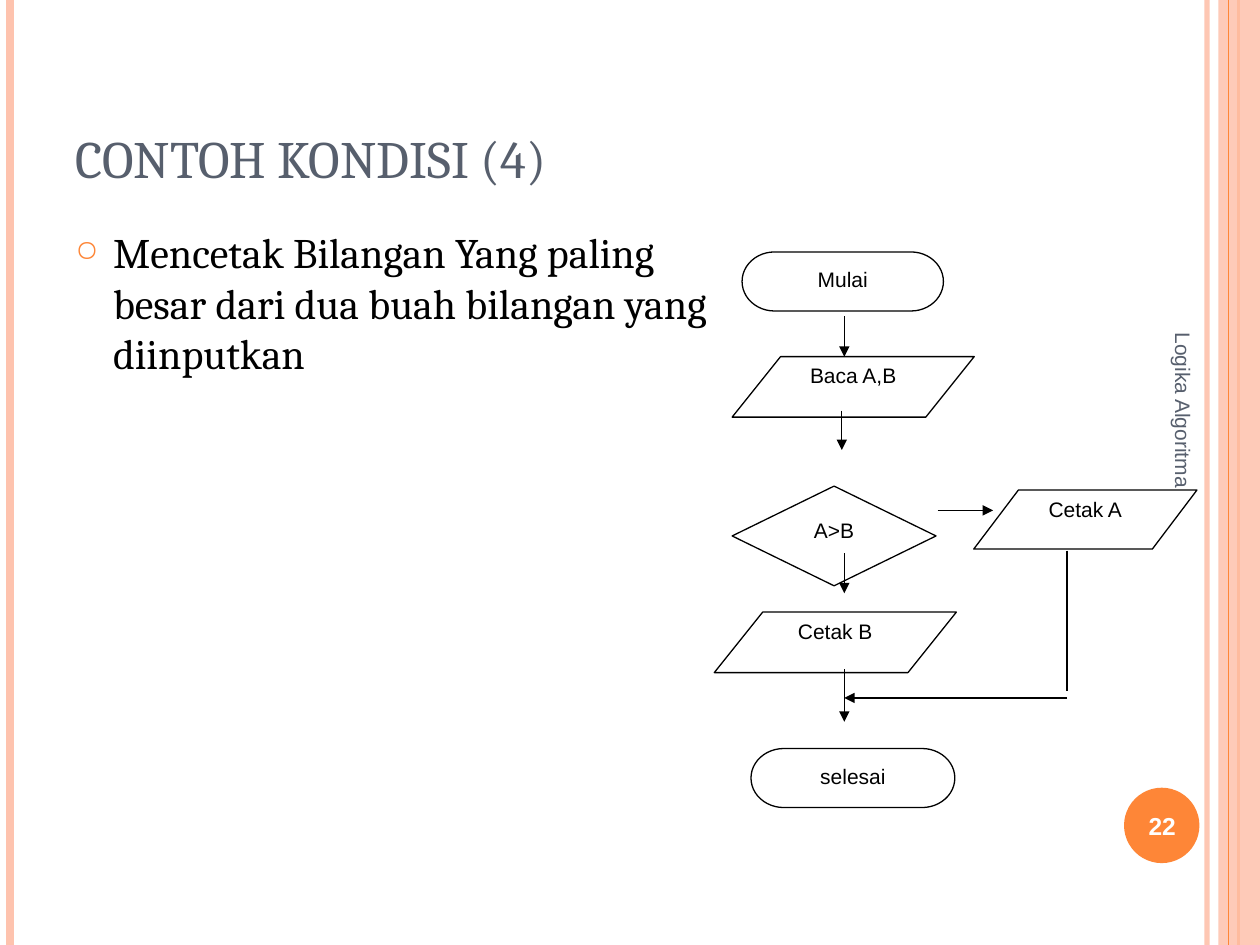
"""Build a slide with a flowchart that prints the larger of two numbers."""
from lxml import etree
from pptx import Presentation, util as u
from pptx.dml.color import RGBColor
from pptx.enum import shapes, text
from pptx.oxml import ns

BLACK = RGBColor(0x00, 0x00, 0x00)
WHITE = RGBColor(0xFF, 0xFF, 0xFF)
ORANGE = RGBColor(0xFE, 0x86, 0x37)
PEACH = RGBColor(0xFE, 0xC3, 0xAE)
SLATE = RGBColor(0x57, 0x5F, 0x6D)

SHAPE = shapes.MSO_SHAPE
TOP, MIDDLE, BOTTOM = (text.MSO_ANCHOR.TOP, text.MSO_ANCHOR.MIDDLE,
                       text.MSO_ANCHOR.BOTTOM)
LEFT, CENTER = text.PP_ALIGN.LEFT, text.PP_ALIGN.CENTER


def add_xml(parent, tag, **attributes):
    return etree.SubElement(parent, ns.qn(tag), attributes)


class SlideBuilder:
    heading_font = "Cambria"
    label_font = "Arial"
    label_size = 12
    stroke = 0.75

    def __init__(self, slide):
        self.slide = slide

    def add_words(self, frame, words, font, size, color, align, anchor,
                  bold=False):
        frame.word_wrap = True
        frame.vertical_anchor = anchor
        paragraph = frame.paragraphs[0]
        paragraph.alignment = align
        run = paragraph.add_run()
        run.text = words
        run.font.name = font
        run.font.size = u.Pt(size)
        run.font.bold = bold
        run.font.color.rgb = color
        return paragraph

    def textbox(self, box, words, font, size, color, align=LEFT, anchor=TOP,
                bold=False, rotation=0):
        area = self.slide.shapes.add_textbox(*map(u.Cm, box))
        area.rotation = rotation
        return self.add_words(area.text_frame, words, font, size, color, align,
                              anchor, bold)

    def bullet(self, box, words, size, indent):
        paragraph = self.textbox(box, words, self.heading_font, size, BLACK)
        paragraph.space_before = u.Pt(6)
        props = paragraph._p.get_or_add_pPr()
        props.set("marL", str(u.Cm(indent)))
        props.set("indent", str(-u.Cm(indent)))
        add_xml(add_xml(props, "a:buClr"), "a:srgbClr", val=str(ORANGE))
        add_xml(props, "a:buSzPct", val="70000")
        add_xml(props, "a:buChar", char="○")

    def set_alpha(self, element, percent):
        color = element.find(".//" + ns.qn("a:srgbClr"))
        add_xml(color, "a:alpha", val=str(percent * 1000))

    def panel(self, kind, box, color, alpha=100):
        panel = self.slide.shapes.add_shape(kind, *map(u.Cm, box))
        panel.shadow.inherit = False
        panel.fill.solid()
        panel.fill.fore_color.rgb = color
        panel.line.fill.background()
        if alpha < 100:
            self.set_alpha(panel._element.spPr, alpha)
        return panel

    def step(self, kind, box, words):
        step = self.panel(kind, box, WHITE)
        step.line.color.rgb = BLACK
        step.line.width = u.Pt(self.stroke)
        self.add_words(step.text_frame, words, self.label_font,
                       self.label_size, BLACK, CENTER, TOP)

    def line(self, ends, color=BLACK, width=stroke, alpha=100, arrow=False):
        line = self.slide.shapes.add_connector(
            shapes.MSO_CONNECTOR.STRAIGHT, *map(u.Cm, ends))
        line.line.color.rgb = color
        line.line.width = u.Pt(width)
        if alpha < 100:
            self.set_alpha(line._element.spPr, alpha)
        if arrow:
            outline = line._element.spPr.find(ns.qn("a:ln"))
            add_xml(outline, "a:tailEnd", type="triangle")
        add_xml(line._element.spPr, "a:effectLst")


def main():
    deck = Presentation()
    deck.slide_width, deck.slide_height = u.Cm(25.4), u.Cm(19.05)
    page = SlideBuilder(deck.slides.add_slide(deck.slide_layouts[6]))

    height = 19.05
    for x, color, width, alpha in [(24.33, PEACH, 3, 93), (0.2, PEACH, 4.5, 100),
                                   (24.97, ORANGE, 1.5, 100)]:
        page.line((x, 0, x, height), color, width, alpha)
    page.panel(SHAPE.RECTANGLE, (24.56, 0, 0.84, height), PEACH, alpha=87)
    page.line((24.77, 0, 24.77, height), ORANGE)
    page.panel(SHAPE.OVAL, (22.66, 15.88, 1.52, 1.52), ORANGE)

    page.textbox((1.27, 0.76, 20.75, 3.18), "CONTOH KONDISI (4)",
                 page.heading_font, 30, SLATE, anchor=BOTTOM)
    page.bullet((1.27, 4.45, 13.54, 12.57),
                "Mencetak Bilangan Yang paling besar dari dua buah bilangan "
                "yang diinputkan", 24, 0.76)

    data, decision, terminal = (SHAPE.FLOWCHART_DATA, SHAPE.FLOWCHART_DECISION,
                                SHAPE.FLOWCHART_TERMINATOR)
    for kind, box, words in [
        (terminal, (14.96, 5.08, 4.06, 1.19), "Mulai"),
        (data, (14.76, 7.19, 4.88, 1.22), "Baca A,B"),
        (decision, (14.76, 9.8, 4.11, 2.01), "A>B"),
        (data, (19.63, 9.88, 4.5, 1.19), "Cetak A"),
        (data, (14.4, 12.34, 4.88, 1.22), "Cetak B"),
        (terminal, (15.14, 15.09, 4.11, 1.19), "selesai"),
    ]:
        page.step(kind, box, words)

    trunk, branch = 17.02, 21.51
    for ends in [
        (trunk, 6.38, trunk, 7.19),
        (16.97, 8.28, 16.97, 9.07),
        (trunk, 11.15, trunk, 11.96),
        (18.9, 10.29, 20.02, 10.29),
        (trunk, 13.49, trunk, 14.55),
        (branch, 14.07, trunk, 14.07),
    ]:
        page.line(ends, arrow=True)
    page.line((branch, 11.1, branch, 13.92))

    page.textbox((19.41, 10.39, 8.89, 1.02), "Logika Algoritma",
                 page.label_font, page.label_size, SLATE, anchor=MIDDLE,
                 rotation=90)
    page.textbox((22.58, 15.93, 1.7, 1.45), "22", page.label_font, 14, WHITE,
                 CENTER, MIDDLE, bold=True)

    deck.save("out.pptx")


if __name__ == "__main__":
    main()
